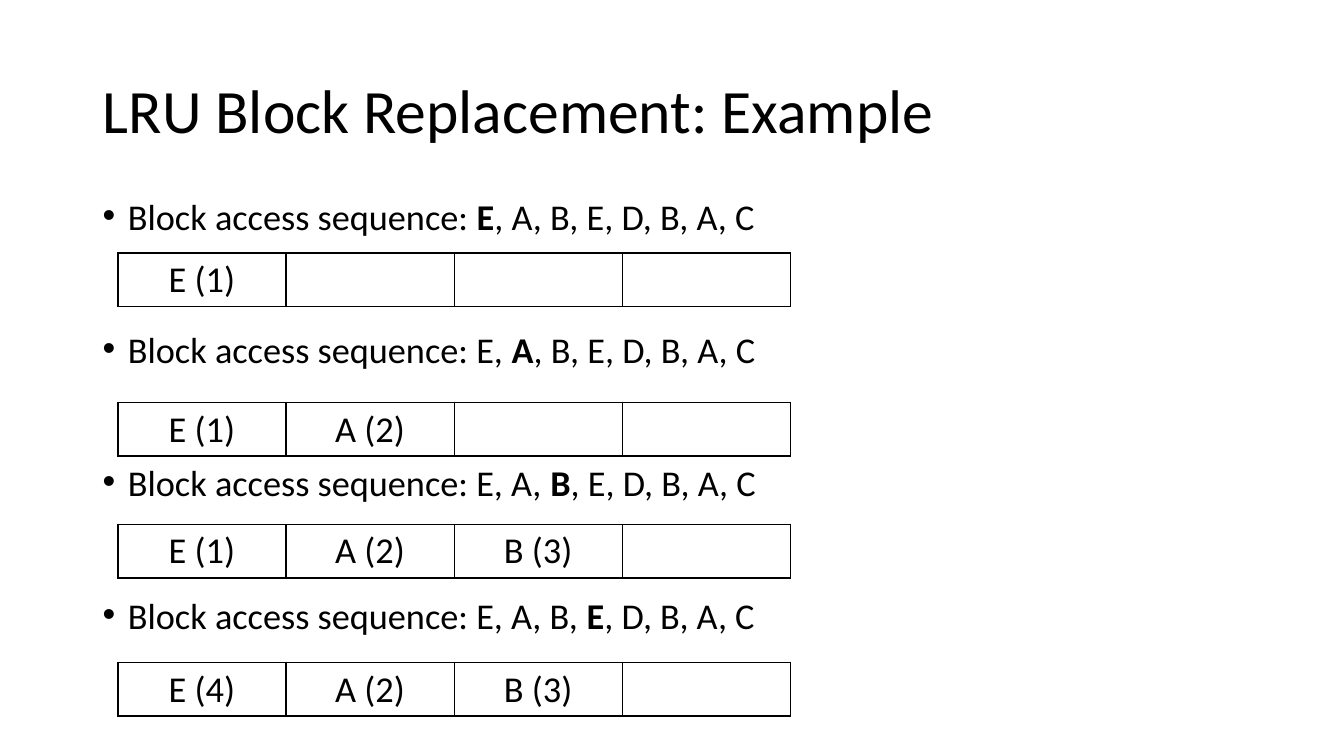
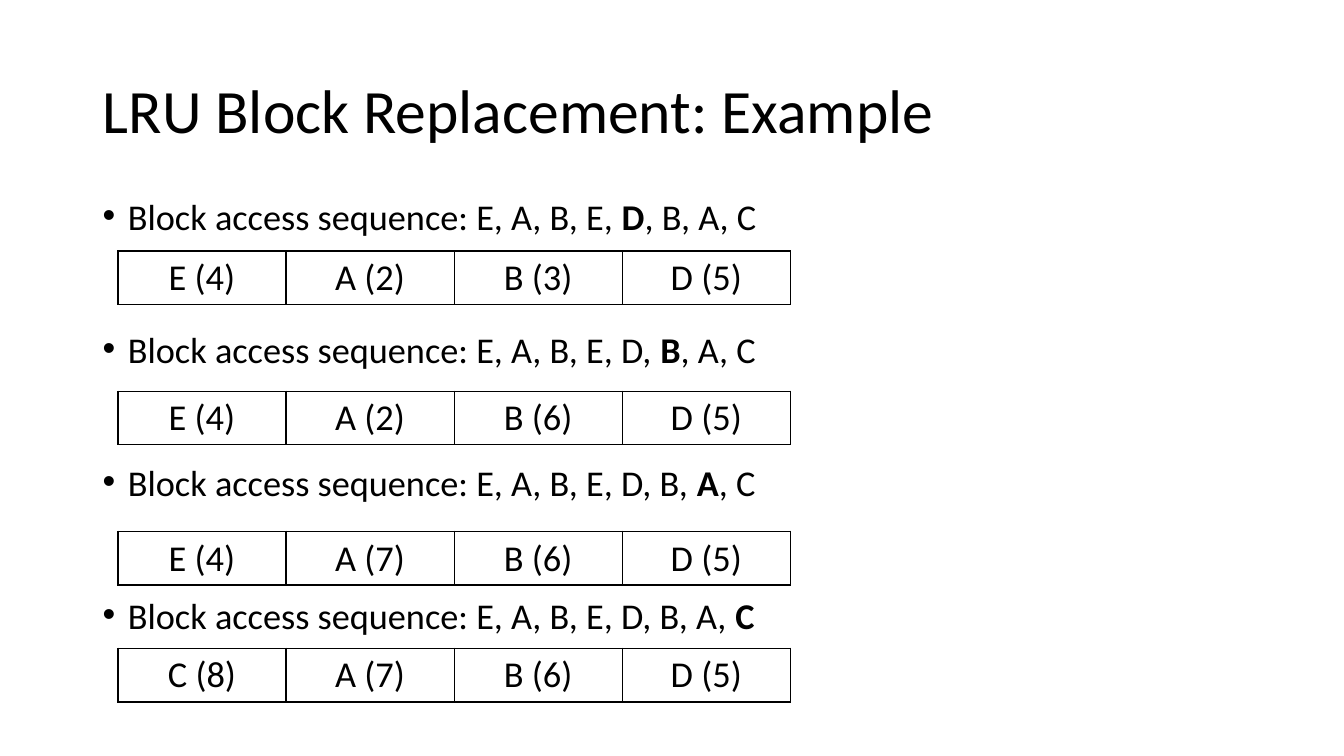
import pptx
import pptx.dml.color
import pptx.enum.text
import pptx.oxml
import pptx.oxml.ns
import pptx.util

Inches = pptx.util.Inches
Pt = pptx.util.Pt

TITLE = "LRU Block Replacement: Example"
LEAD = "Block access sequence: "
SEQUENCE = ["E", "A", "B", "E", "D", "B", "A", "C"]

# Each slide: steps as (table top in inches, buffer contents after the access)
SLIDES = [
    [
        (2.51, ["E (1)", "", "", ""]),
        (3.99, ["E (1)", "A (2)", "", ""]),
        (5.2, ["E (1)", "A (2)", "B (3)", ""]),
        (6.57, ["E (4)", "A (2)", "B (3)", ""]),
    ],
    [
        (2.49, ["E (4)", "A (2)", "B (3)", "D (5)"]),
        (3.88, ["E (4)", "A (2)", "B (6)", "D (5)"]),
        (5.27, ["E (4)", "A (7)", "B (6)", "D (5)"]),
        (6.43, ["C (8)", "A (7)", "B (6)", "D (5)"]),
    ],
]

BLACK = pptx.dml.color.RGBColor(0, 0, 0)
FONT = "Calibri"
TITLE_SIZE, BULLET_SIZE, CELL_SIZE = 44, 25.9, 26
BULLET_GAP = Pt(73.1)
BULLET_INDENT = Inches(0.25)
NAMESPACE = pptx.oxml.ns.nsdecls("a")


def add_run(paragraph, text, size, bold=False):
    run = paragraph.add_run()
    run.text = text
    run.font.name = FONT
    run.font.size = Pt(size)
    run.font.bold = bold
    run.font.color.rgb = BLACK


def add_title(slide):
    title = slide.shapes.title
    title.left, title.top = Inches(0.92), Inches(0.4)
    title.width, title.height = Inches(11.5), Inches(1.45)
    title.text_frame.vertical_anchor = pptx.enum.text.MSO_ANCHOR.MIDDLE
    paragraph = title.text_frame.paragraphs[0]
    paragraph.alignment = pptx.enum.text.PP_ALIGN.LEFT
    paragraph.line_spacing = 0.9
    add_run(paragraph, TITLE, TITLE_SIZE)


def add_bullet(paragraph):
    properties = paragraph._p.get_or_add_pPr()
    properties.set("marL", str(BULLET_INDENT))
    properties.set("indent", str(-BULLET_INDENT))
    for xml in (f'<a:buFont {NAMESPACE} typeface="Arial"/>',
                f'<a:buChar {NAMESPACE} char="•"/>'):
        properties.append(pptx.oxml.parse_xml(xml))


def add_sequences(slide, accesses):
    """List the access sequence once per access, with that access in bold."""
    box = slide.shapes.add_textbox(Inches(0.92), Inches(2), Inches(11.5), Inches(4.76))
    frame = box.text_frame
    frame.word_wrap = True
    for position, access in enumerate(accesses):
        paragraph = frame.add_paragraph() if position else frame.paragraphs[0]
        add_bullet(paragraph)
        paragraph.line_spacing = 0.7
        if position:
            paragraph.space_before = BULLET_GAP
        before = "".join(f"{block}, " for block in SEQUENCE[:access])
        after = "".join(f", {block}" for block in SEQUENCE[access + 1:])
        add_run(paragraph, LEAD + before, BULLET_SIZE)
        add_run(paragraph, SEQUENCE[access], BULLET_SIZE, bold=True)
        if after:
            add_run(paragraph, after, BULLET_SIZE)


def add_borders(cell):
    properties = cell._tc.get_or_add_tcPr()
    for side in ("lnL", "lnR", "lnT", "lnB"):
        properties.append(pptx.oxml.parse_xml(
            f'<a:{side} {NAMESPACE} w="{Pt(1)}"><a:solidFill>'
            f'<a:srgbClr val="{BLACK}"/></a:solidFill></a:{side}>'))


def add_buffer(slide, top, blocks):
    table = slide.shapes.add_table(1, len(blocks), Inches(1.17), Inches(top),
                                   Inches(6.67), Inches(0.53)).table
    table.first_row = False
    table.horz_banding = False
    for cell, block in zip(table.iter_cells(), blocks):
        add_borders(cell)
        cell.fill.background()
        if block:
            paragraph = cell.text_frame.paragraphs[0]
            paragraph.alignment = pptx.enum.text.PP_ALIGN.CENTER
            add_run(paragraph, block, CELL_SIZE)


def main():
    presentation = pptx.Presentation()
    presentation.slide_width = Inches(13.33)
    presentation.slide_height = Inches(7.5)
    title_only = presentation.slide_layouts.get_by_name("Title Only")
    first_access = 0
    for steps in SLIDES:
        slide = presentation.slides.add_slide(title_only)
        add_title(slide)
        add_sequences(slide, range(first_access, first_access + len(steps)))
        for top, blocks in steps:
            add_buffer(slide, top, blocks)
        first_access += len(steps)
    presentation.save("out.pptx")


if __name__ == "__main__":
    main()
